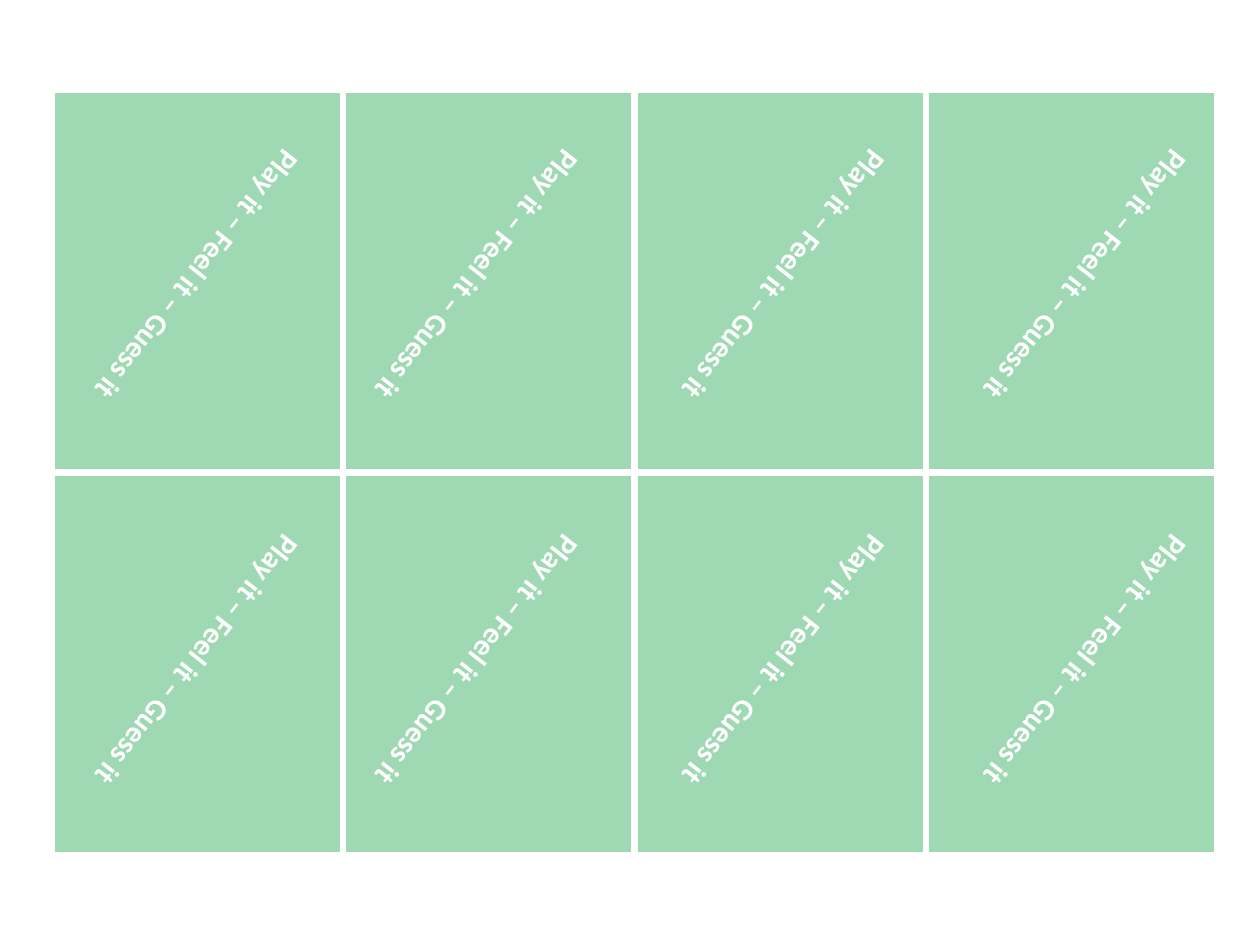
from itertools import product

from lxml import etree
from pptx import Presentation
from pptx import util as u
from pptx.dml.color import RGBColor
from pptx.enum import shapes, text
from pptx.oxml import ns

COLORS = {"card": "9FD9B4", "white": "FFFFFF"}
PAGE_WIDTH, PAGE_HEIGHT = 14, 10.5
ROWS, COLUMNS = 2, 4
CARD_WIDTH, CARD_HEIGHT = 3.24, 4.25
GRID_LEFT, GRID_TOP = 0.57, 1
SLOGAN = "Play it – Feel it – Guess it "
SLOGAN_LEFTS = (-0.28, 2.83, 6.24, 9.59)
SLOGAN_TOPS = (2.84, 7.12)


def add_panel(page, left, top, width, height, color):
    """Add a plain filled rectangle without outline."""
    panel = page.shapes.add_shape(
        shapes.MSO_SHAPE.RECTANGLE,
        u.Inches(left), u.Inches(top), u.Inches(width), u.Inches(height))
    panel.shadow.inherit = False
    panel.fill.solid()
    panel.fill.fore_color.rgb = RGBColor.from_string(COLORS[color])
    panel.line.fill.background()


def set_borders(cell, color, points):
    """Give all four sides of a table cell a solid border."""
    properties = cell._tc.get_or_add_tcPr()
    for position, side in enumerate(("lnL", "lnR", "lnT", "lnB")):
        line = etree.Element(ns.qn(f"a:{side}"), w=str(u.Pt(points)))
        fill = etree.SubElement(line, ns.qn("a:solidFill"))
        etree.SubElement(fill, ns.qn("a:srgbClr"), val=COLORS[color])
        properties.insert(position, line)


def add_card_grid(page):
    """Add the table whose white borders separate the cards."""
    table = page.shapes.add_table(
        ROWS, COLUMNS, u.Inches(GRID_LEFT), u.Inches(GRID_TOP),
        u.Inches(COLUMNS * CARD_WIDTH), u.Inches(ROWS * CARD_HEIGHT)).table
    table.first_row = False
    table.horz_banding = False
    for column in table.columns:
        column.width = u.Inches(CARD_WIDTH)
    for row in table.rows:
        row.height = u.Inches(CARD_HEIGHT)
    for cell in table.iter_cells():
        cell.fill.background()
        set_borders(cell, "white", 6)


def add_margins(page):
    """Cover the four page margins around the cards in white."""
    right = GRID_LEFT + COLUMNS * CARD_WIDTH - 0.01
    bottom = GRID_TOP + ROWS * CARD_HEIGHT
    for area in (
        (0, 0, PAGE_WIDTH, GRID_TOP),
        (0, bottom, PAGE_WIDTH, PAGE_HEIGHT - bottom),
        (0, 0, GRID_LEFT, PAGE_HEIGHT),
        (right, 0, PAGE_WIDTH - right, PAGE_HEIGHT),
    ):
        add_panel(page, *area, "white")


def add_slogan(page, left, top):
    """Add the slanted slogan of one card."""
    box = page.shapes.add_textbox(
        u.Inches(left), u.Inches(top), u.Inches(4.91), u.Inches(0.5))
    box.rotation = 128.1
    frame = box.text_frame
    frame.word_wrap = True
    frame.auto_size = text.MSO_AUTO_SIZE.SHAPE_TO_FIT_TEXT
    frame.text = SLOGAN
    para = frame.paragraphs[0]
    para.alignment = text.PP_ALIGN.CENTER
    font = para.runs[0].font
    font.name = "Calibri"
    font.size = u.Pt(24)
    font.bold = True
    font.color.rgb = RGBColor.from_string(COLORS["white"])


def main():
    """Build the sheet of card backs."""
    deck = Presentation()
    deck.slide_width = u.Inches(PAGE_WIDTH)
    deck.slide_height = u.Inches(PAGE_HEIGHT)
    page = deck.slides.add_slide(deck.slide_layouts[6])
    add_panel(page, 0, 0, PAGE_WIDTH, PAGE_HEIGHT, "card")
    add_card_grid(page)
    add_margins(page)
    for top, left in product(SLOGAN_TOPS, SLOGAN_LEFTS):
        add_slogan(page, left, top)
    deck.save("out.pptx")


main()
